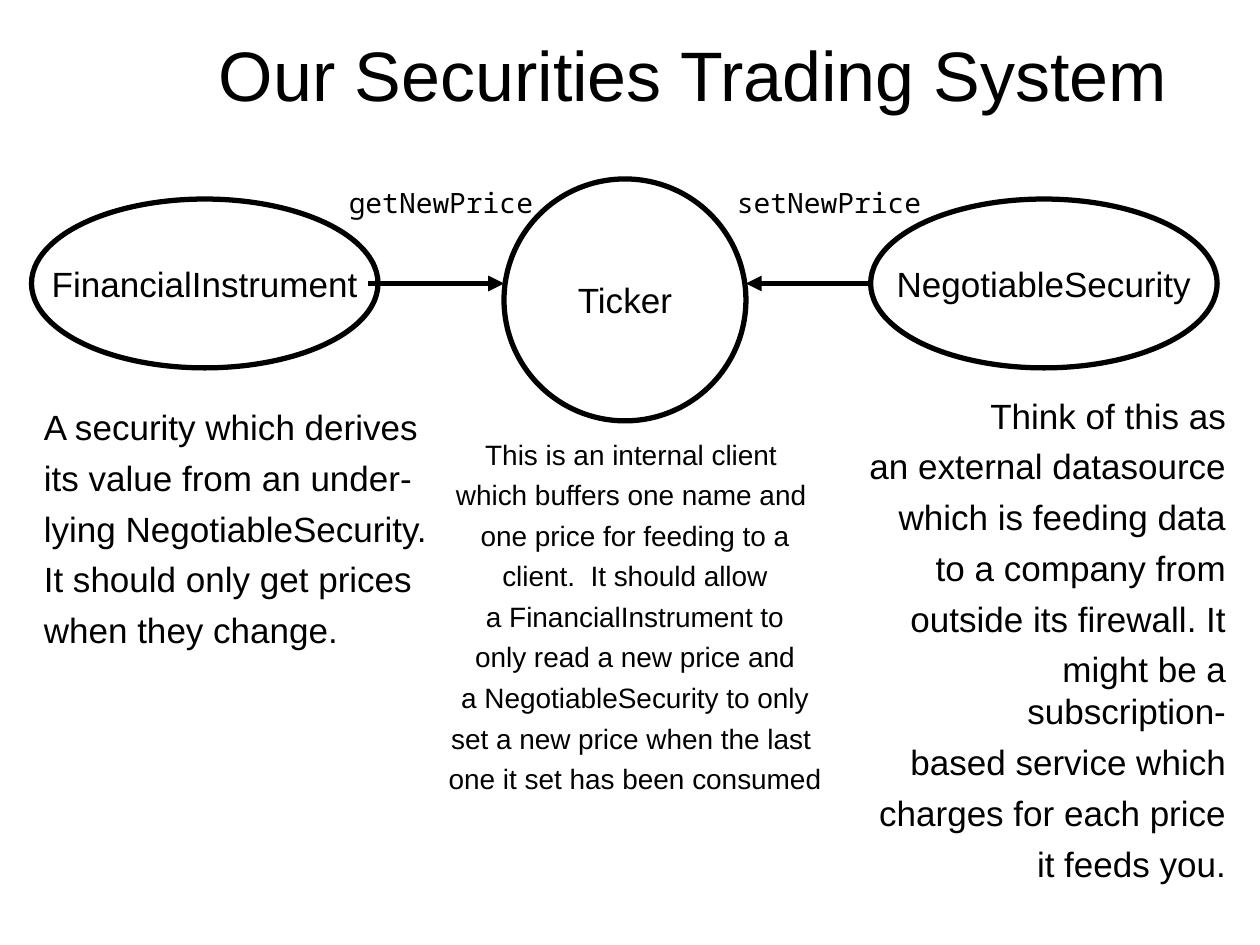
from dataclasses import dataclass

from lxml import etree
from pptx import Presentation
from pptx.dml.color import RGBColor
from pptx.enum.shapes import MSO_CONNECTOR, MSO_SHAPE
from pptx.enum.text import MSO_ANCHOR, MSO_AUTO_SIZE, PP_ALIGN
from pptx.oxml.ns import qn
from pptx.util import Inches, Pt

LEFT, CENTER, RIGHT = PP_ALIGN.LEFT, PP_ALIGN.CENTER, PP_ALIGN.RIGHT
TOP, MIDDLE = MSO_ANCHOR.TOP, MSO_ANCHOR.MIDDLE
FIXED, GROW = MSO_AUTO_SIZE.NONE, MSO_AUTO_SIZE.SHAPE_TO_FIT_TEXT
OVAL = MSO_SHAPE.OVAL
STRAIGHT = MSO_CONNECTOR.STRAIGHT


@dataclass(frozen=True)
class Theme:
    ink: RGBColor = RGBColor(0, 0, 0)
    paper: RGBColor = RGBColor(255, 255, 255)
    font: str = "Arial"
    code_font: str = "Noto Sans Mono"
    title_size: int = 40
    body_size: int = 20
    small_size: int = 16
    line_width: float = 3


THEME = Theme()


@dataclass(frozen=True)
class Frame:
    left: float
    top: float
    width: float
    height: float

    def lengths(self) -> list:
        return [Inches(value) for value in (self.left, self.top, self.width, self.height)]


@dataclass(frozen=True)
class Actor:
    name: str
    frame: Frame


@dataclass(frozen=True)
class Note:
    frame: Frame
    lines: tuple[str, ...]
    align: PP_ALIGN = LEFT
    size: int = THEME.body_size
    font: str = THEME.font
    space_before: int = 5
    auto_size: MSO_AUTO_SIZE = GROW
    anchor: MSO_ANCHOR = TOP
    wrap: bool = False


@dataclass(frozen=True)
class Arrow:
    start: float
    end: float


def write_text(shape, note: Note) -> None:
    frame = shape.text_frame
    frame_format = {
        "word_wrap": note.wrap,
        "auto_size": note.auto_size,
        "vertical_anchor": note.anchor,
    }
    for name, value in frame_format.items():
        setattr(frame, name, value)
    font_format = {"name": note.font, "size": Pt(note.size)}
    for index, line in enumerate(note.lines):
        para = frame.add_paragraph() if index else frame.paragraphs[0]
        para.alignment = note.align
        para.space_before = Pt(note.space_before)
        span = para.add_run()
        span.text = line
        for name, value in font_format.items():
            setattr(span.font, name, value)
        span.font.color.rgb = THEME.ink


def draw_note(page, note: Note) -> None:
    write_text(page.shapes.add_textbox(*note.frame.lengths()), note)


def draw_actor(page, actor: Actor) -> None:
    ellipse = page.shapes.add_shape(OVAL, *actor.frame.lengths())
    ellipse.shadow.inherit = False
    ellipse.fill.solid()
    ellipse.fill.fore_color.rgb = THEME.paper
    ellipse.line.color.rgb = THEME.ink
    ellipse.line.width = Pt(THEME.line_width)
    write_text(ellipse, Note(actor.frame, (actor.name,), CENTER,
                             auto_size=FIXED, anchor=MIDDLE))


def draw_arrow(page, arrow: Arrow, height: float) -> None:
    connector = page.shapes.add_connector(
        STRAIGHT, Inches(arrow.start), Inches(height), Inches(arrow.end), Inches(height))
    connector.line.color.rgb = THEME.ink
    connector.line.width = Pt(THEME.line_width)
    etree.SubElement(connector.line._get_or_add_ln(), qn("a:tailEnd"), type="triangle")
    etree.SubElement(connector._element.spPr, qn("a:effectLst"))


TITLE = Note(Frame(1, 0.25, 9, 0.67), ("Our Securities Trading System",), CENTER,
             THEME.title_size, space_before=0, auto_size=FIXED, anchor=MIDDLE, wrap=True)

ACTORS = (
    Actor("Ticker", Frame(4, 1.42, 1.92, 1.92)),
    Actor("FinancialInstrument", Frame(0.25, 1.58, 2.75, 1.34)),
    Actor("NegotiableSecurity", Frame(6.91, 1.58, 2.75, 1.34)),
)

DESCRIPTIONS = (
    Note(Frame(6.68, 3.08, 3.15, 3.66), (
        "Think of this as",
        "an external datasource",
        "which is feeding data",
        "to a company from",
        "outside its firewall. It",
        "might be a subscription-",
        "based service which",
        "charges for each price",
        "it feeds you.",
    ), RIGHT),
    Note(Frame(3.5, 3.42, 3.08, 2.92), (
        "This is an internal client ",
        "which buffers one name and ",
        "one price for feeding to a",
        "client.  It should allow",
        "a FinancialInstrument to",
        "only read a new price and",
        "a NegotiableSecurity to only",
        "set a new price when the last ",
        "one it set has been consumed",
    ), CENTER, THEME.small_size, space_before=4, auto_size=FIXED),
    Note(Frame(0.25, 3.17, 3.26, 2.05), (
        "A security which derives",
        "its value from an under-",
        "lying NegotiableSecurity.",
        "It should only get prices",
        "when they change.",
    )),
)

ARROW_HEIGHT = 2.25
ARROWS = (Arrow(2.92, 4), Arrow(6.92, 5.92))
CALLS = {"getNewPrice": 2.67, "setNewPrice": 5.75}


def main() -> None:
    deck = Presentation()
    deck.slide_width, deck.slide_height = Inches(10), Inches(7.5)
    page = deck.slides.add_slide(deck.slide_layouts[6])

    # Title and the three parties
    draw_note(page, TITLE)
    for actor in ACTORS:
        draw_actor(page, actor)

    # Descriptions below the parties
    for description in DESCRIPTIONS:
        draw_note(page, description)

    # Calls into the ticker
    for arrow in ARROWS:
        draw_arrow(page, arrow, ARROW_HEIGHT)
    for call, left in CALLS.items():
        draw_note(page, Note(Frame(left, 1.42, 1.67, 0.37), (call,),
                             size=THEME.small_size, font=THEME.code_font, space_before=4))

    deck.save("out.pptx")


if __name__ == "__main__":
    main()
